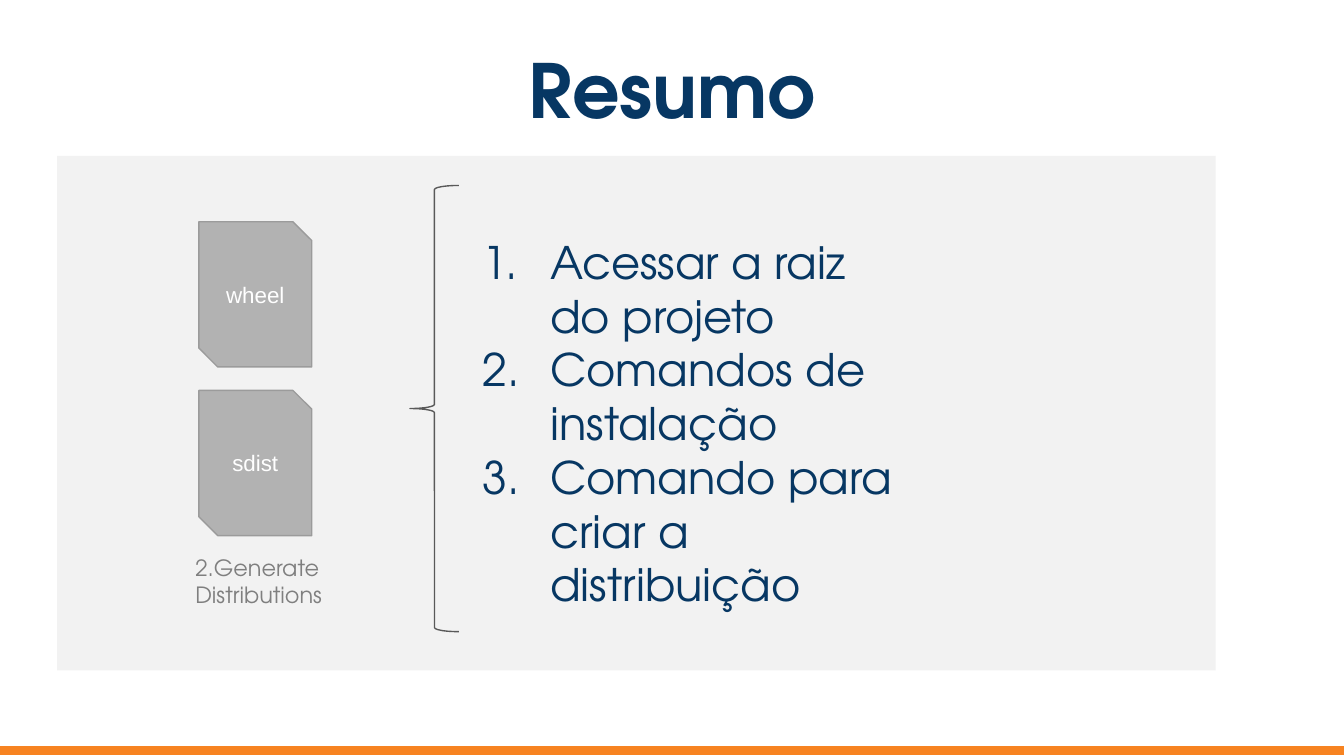
import dataclasses
import typing

import lxml.etree
import pptx
import pptx.dml.color
import pptx.enum.shapes
import pptx.enum.text
import pptx.oxml.ns
import pptx.util

KIND = pptx.enum.shapes.MSO_SHAPE
ALIGN = pptx.enum.text.PP_ALIGN
ANCHOR = pptx.enum.text.MSO_ANCHOR
CELL = pptx.util.Inches(0.1)  # the slide is a grid of 100 by 56.25 cells
HEAD = "TeX Gyre Adventor"
HUES = {
    "navy": "073763", "panel": "F2F2F2", "orange": "F78321", "file": "B2B2B2",
    "edge": "9B9B9B", "brace": "595959", "note": "7F7F7F", "white": "FFFFFF",
}


@dataclasses.dataclass
class Box:
    """A place on the grid, in cells."""
    col: float
    row: float
    wide: float
    high: float

    def span(self) -> list[int]:
        return [round(n * CELL) for n in (self.col, self.row, self.wide, self.high)]


@dataclasses.dataclass
class Style:
    size: float
    hue: str
    font: str = HEAD
    bold: bool = False
    align: ALIGN = ALIGN.LEFT
    anchor: ANCHOR = ANCHOR.TOP
    top: float = 1
    base: float = 1
    left: float = 0
    hang: float = 0


def paint(hue: str) -> pptx.dml.color.RGBColor:
    return pptx.dml.color.RGBColor.from_string(HUES[hue])


def number(props: typing.Any, hue: str) -> None:
    """Give a paragraph an automatic number."""
    tag = pptx.oxml.ns.qn
    color = lxml.etree.SubElement(props, tag("a:buClr"))
    lxml.etree.SubElement(color, tag("a:srgbClr"), val=HUES[hue])
    lxml.etree.SubElement(props, tag("a:buFont"), typeface=HEAD)
    lxml.etree.SubElement(props, tag("a:buAutoNum"), type="arabicPeriod")


def write(shape: typing.Any, lines: list[str], style: Style) -> None:
    frame = shape.text_frame
    form = {
        "word_wrap": True, "vertical_anchor": style.anchor,
        "margin_left": CELL, "margin_right": CELL,
        "margin_top": round(style.top * CELL),
        "margin_bottom": round(style.base * CELL),
    }
    for key, val in form.items():
        setattr(frame, key, val)
    face = {"name": style.font, "size": pptx.util.Pt(style.size), "bold": style.bold}
    for i, line in enumerate(lines):
        para = frame.add_paragraph() if i else frame.paragraphs[0]
        para.alignment = style.align
        props = para._p.get_or_add_pPr()
        props.set("marL", str(round(style.left * CELL)))
        props.set("indent", str(round(-style.hang * CELL)))
        if style.hang:
            number(props, style.hue)
        run = para.add_run()
        run.text = line
        for key, val in face.items():
            setattr(run.font, key, val)
        run.font.color.rgb = paint(style.hue)


def draw(slide: typing.Any, kind: KIND, box: Box, fill: str = "", edge: str = "") -> typing.Any:
    shape = slide.shapes.add_shape(kind, *box.span())
    shape.shadow.inherit = False
    for part, hue in ((shape.fill, fill), (shape.line.fill, edge)):
        if hue:
            part.solid()
            part.fore_color.rgb = paint(hue)
        else:
            part.background()
    if edge:
        shape.line.width = pptx.util.Pt(0.75)
    return shape


def label(slide: typing.Any, box: Box, lines: list[str], style: Style) -> None:
    write(slide.shapes.add_textbox(*box.span()), lines, style)


def main() -> None:
    deck = pptx.Presentation()
    deck.slide_width, deck.slide_height = 100 * CELL, round(56.25 * CELL)
    slide = deck.slides.add_slide(deck.slide_layouts[6])

    draw(slide, KIND.RECTANGLE, Box(4.25, 11.6, 86.2, 38.3), "panel")
    title = Style(40, "navy", bold=True, align=ALIGN.CENTER, anchor=ANCHOR.MIDDLE)
    label(slide, Box(3.4, 3.35, 93.2, 6.5), ["Resumo"], title)
    draw(slide, KIND.RECTANGLE, Box(0, 55.55, 100, 0.6), "orange", "orange")

    mark = Style(12, "white", "Arial", align=ALIGN.CENTER,
                 anchor=ANCHOR.MIDDLE, top=0.5, base=0.5)
    for i, name in enumerate(("wheel", "sdist")):
        box = Box(14.8, 16.5 + 12.55 * i, 8.4, 10.8)
        file = draw(slide, KIND.SNIP_2_DIAG_RECTANGLE, box, "file", "edge")
        write(file, [name], mark)
    label(slide, Box(12.75, 40.25, 13.7, 4.8), ["2.Generate Distributions"],
          Style(12, "note", left=0.8))

    steps = ["Acessar a raiz do projeto", "Comandos de instalação",
             "Comando para criar a distribuição"]
    label(slide, Box(34.15, 12.5, 34.9, 33.2), steps,
          Style(24, "navy", top=4.95, left=5.8, hang=5))
    draw(slide, KIND.LEFT_BRACE, Box(30.5, 13.8, 3.65, 33.2), edge="brace")
    deck.save("out.pptx")


if __name__ == "__main__":
    main()
